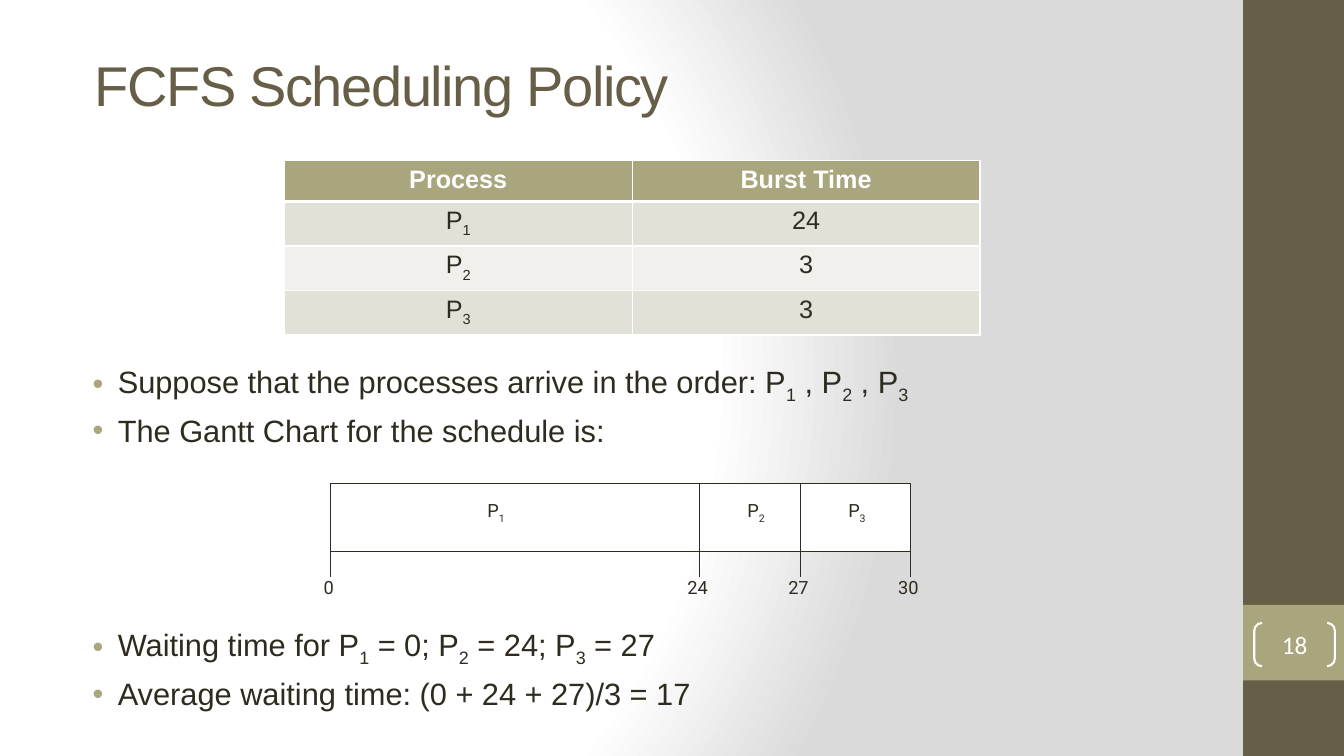
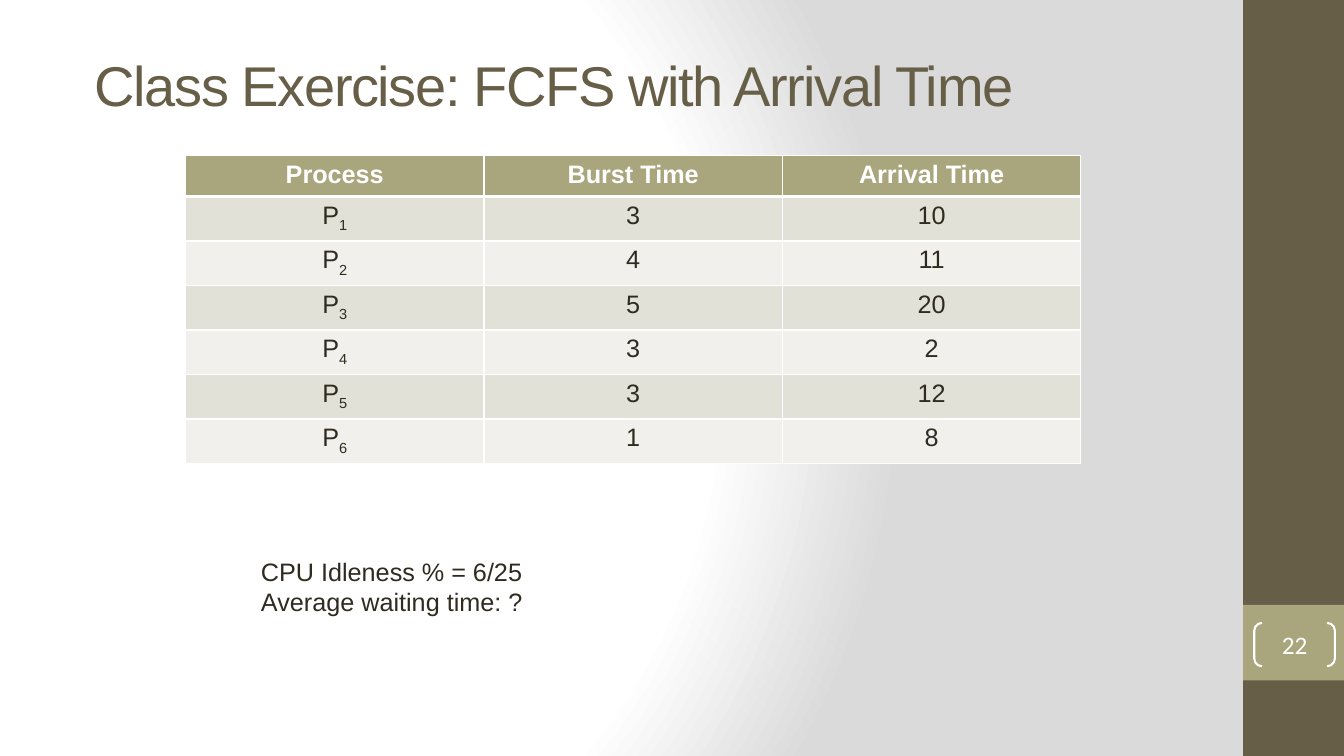
from pptx import Presentation
from pptx import util as u
from pptx.dml.color import RGBColor
from pptx.enum import shapes, text
from pptx.oxml import parse_xml
from pptx.oxml.ns import nsdecls, qn

COLORS = {"dark": "675E47", "olive": "A9A57C", "ink": "2F2B20", "white": "FFFFFF",
          "odd_row": "E2E1D7", "even_row": "F1F0EC", "grey": "DADADA"}
RGB = {name: RGBColor.from_string(value) for name, value in COLORS.items()}
ALIGN = text.PP_ALIGN
MIDDLE = text.MSO_ANCHOR.MIDDLE


def write(p, line, size, color="ink", font="Arial", align=ALIGN.CENTER, bold=False):
    """Fill a paragraph; the character after each underscore becomes a subscript."""
    p.alignment = align
    first, *others = line.split("_")
    pieces = [(first, False)]
    for part in others:
        pieces += [(part[0], True), (part[1:], False)]
    for piece, subscript in pieces:
        if not piece:
            continue
        r = p.add_run()
        r.text = piece
        r.font.size, r.font.name, r.font.bold = u.Pt(size), font, bold
        r.font.color.rgb = RGB[color]
        if subscript:
            r.font._element.set("baseline", "-25000")


def add_text(s, box, lines, size, **style):
    tf = s.shapes.add_textbox(*map(u.Inches, box)).text_frame
    tf.word_wrap = True
    for i, line in enumerate(lines):
        write(tf.add_paragraph() if i else tf.paragraphs[0], line, size, **style)
    return tf


prs = Presentation()
prs.slide_width, prs.slide_height = u.Inches(13.33), u.Inches(7.5)

# Background shared through the master
master = prs.slide_master
master.background.fill.gradient()
grad = master.element.find(".//" + qn("a:gradFill"))
stops = "".join(f'<a:gs pos="{pos}"><a:srgbClr val="{COLORS[c]}"/></a:gs>'
                for pos, c in [(0, "white"), (75000, "white"), (100000, "grey")])
grad.getparent().replace(grad, parse_xml(
    f'<a:gradFill {nsdecls("a")} rotWithShape="1"><a:gsLst>{stops}</a:gsLst><a:path path="circle">'
    '<a:fillToRect l="20000" t="50000" r="100000" b="50000"/></a:path></a:gradFill>'))

# Title, page number, table left and top, column width, table rows
pages = [
    ("FCFS Scheduling Policy", "18", 2.82, 1.59, 3.45,
     [("Process", "Burst Time"), ("P_1", "24"), ("P_2", "3"), ("P_3", "3")]),
    ("Class Exercise: FCFS with Arrival Time", "22", 1.84, 1.54, 2.96,
     [("Process", "Burst Time", "Arrival Time"), ("P_1", "3", "10"), ("P_2", "4", "11"),
      ("P_3", "5", "20"), ("P_4", "3", "2"), ("P_5", "3", "12"), ("P_6", "1", "8")]),
]
slides = []
for title, number, left, top, col_width, rows in pages:
    s = prs.slides.add_slide(prs.slide_layouts[6])
    slides.append(s)

    for band_top, height, color in [(0, 7.5, "dark"), (6, 0.75, "olive")]:
        band = s.shapes.add_shape(shapes.MSO_SHAPE.RECTANGLE, u.Inches(12.33),
                                  u.Inches(band_top), u.Inches(1), u.Inches(height))
        band.shadow.inherit = False
        band.fill.solid()
        band.fill.fore_color.rgb = RGB[color]
        band.line.fill.background()

    tf = add_text(s, (0.84, 0.61, 10.91, 0.45), [title], 40, color="dark", align=ALIGN.LEFT)
    tf.vertical_anchor = MIDDLE
    tf.paragraphs[0].runs[0].font._element.set("spc", "-100")

    bracket = s.shapes.add_shape(shapes.MSO_SHAPE.DOUBLE_BRACKET, u.Inches(12.44),
                                 u.Inches(6.18), u.Inches(0.8), u.Inches(0.43))
    bracket.adjustments[0] = 0.18
    bracket.shadow.inherit = False
    bracket.fill.background()
    bracket.line.color.rgb = RGB["white"]
    bracket.line.width = u.Pt(1.5)
    tf = bracket.text_frame
    tf.margin_left = tf.margin_right = tf.margin_top = tf.margin_bottom = 0
    tf.vertical_anchor = MIDDLE
    write(tf.paragraphs[0], number, 18, color="white", font="Calibri")

    n_cols = len(rows[0])
    table = s.shapes.add_table(len(rows), n_cols, u.Inches(left), u.Inches(top),
                               u.Inches(col_width * n_cols), u.Inches(0.41 * len(rows))).table
    for i, row in enumerate(rows):
        header = i == 0
        for j, value in enumerate(row):
            cell = table.cell(i, j)
            write(cell.text_frame.paragraphs[0], value, 18,
                  color="white" if header else "ink", bold=header)
            tc_pr = cell._tc.get_or_add_tcPr()
            for side in "LRTB":
                thick = (header and side == "B") or (i == 1 and side == "T")
                tc_pr.append(parse_xml(
                    f'<a:ln{side} {nsdecls("a")} w="{u.Pt(3 if thick else 1)}"><a:solidFill>'
                    f'<a:srgbClr val="{COLORS["white"]}"/></a:solidFill></a:ln{side}>'))
            cell.fill.solid()
            cell.fill.fore_color.rgb = RGB["olive" if header else "odd_row" if i % 2 else "even_row"]

fcfs, exercise = slides

# Bullets above and below the Gantt chart
bullets = [
    (3.55, ["Suppose that the processes arrive in the order: P_1 , P_2 , P_3",
            "The Gantt Chart for the schedule is:"]),
    (6.16, ["Waiting time for P_1 = 0; P_2 = 24; P_3 = 27",
            "Average waiting time: (0 + 24 + 27)/3 = 17"]),
]
for top, lines in bullets:
    tf = add_text(fcfs, (0.69, top, 11.41, 0.95), lines, 22, align=ALIGN.JUSTIFY)
    for i, p in enumerate(tf.paragraphs):
        p_pr = p._p.get_or_add_pPr()
        p_pr.set("marL", str(u.Inches(0.38)))
        p_pr.set("indent", str(u.Inches(-0.25)))
        for xml in (f'<a:buClr {nsdecls("a")}><a:srgbClr val="{COLORS["olive"]}"/></a:buClr>',
                    f'<a:buFont {nsdecls("a")} typeface="Arial"/>',
                    f'<a:buChar {nsdecls("a")} char="•"/>'):
            p_pr.append(parse_xml(xml))
        if i:
            p.space_before = u.Pt(5)

# Gantt chart
bar_top, bar_bottom, tick_bottom = 4.8, 5.47, 5.72
marks = [("0", 3.28), ("24", 6.94), ("27", 7.94), ("30", 9.03)]
start, end = marks[0][1], marks[-1][1]
bar = fcfs.shapes.add_shape(shapes.MSO_SHAPE.RECTANGLE, u.Inches(start), u.Inches(bar_top),
                            u.Inches(end - start), u.Inches(bar_bottom - bar_top))
bar.shadow.inherit = False
bar.fill.solid()
bar.fill.fore_color.rgb = RGB["white"]
bar.line.color.rgb = RGB["ink"]
bar.line.width = u.Pt(0.75)

for _, x in marks:
    tick_top = bar_top if start < x < end else bar_bottom
    tick = fcfs.shapes.add_connector(shapes.MSO_CONNECTOR.STRAIGHT, u.Inches(x),
                                     u.Inches(tick_top), u.Inches(x), u.Inches(tick_bottom))
    tick.line.color.rgb = RGB["ink"]
    tick.line.width = u.Pt(0.75)
    tick._element.spPr.append(parse_xml(f'<a:effectLst {nsdecls("a")}/>'))

labels = [("P_1", 4.92, 4.92), ("P_2", 7.5, 4.92), ("P_3", 8.5, 4.92)]
labels += [(time, x - 0.02, 5.67) for time, x in marks]
for label, center, top in labels:
    tf = add_text(fcfs, (center - 0.2, top, 0.4, 0.32), [label], 13, font="Roboto")
    tf.margin_left = tf.margin_right = 0
    tf.vertical_anchor = MIDDLE

add_text(exercise, (2.49, 5.47, 6.67, 0.71),
         ["CPU Idleness % = 6/25", "Average waiting time: ?"], 18, align=ALIGN.JUSTIFY)

prs.save("out.pptx")
